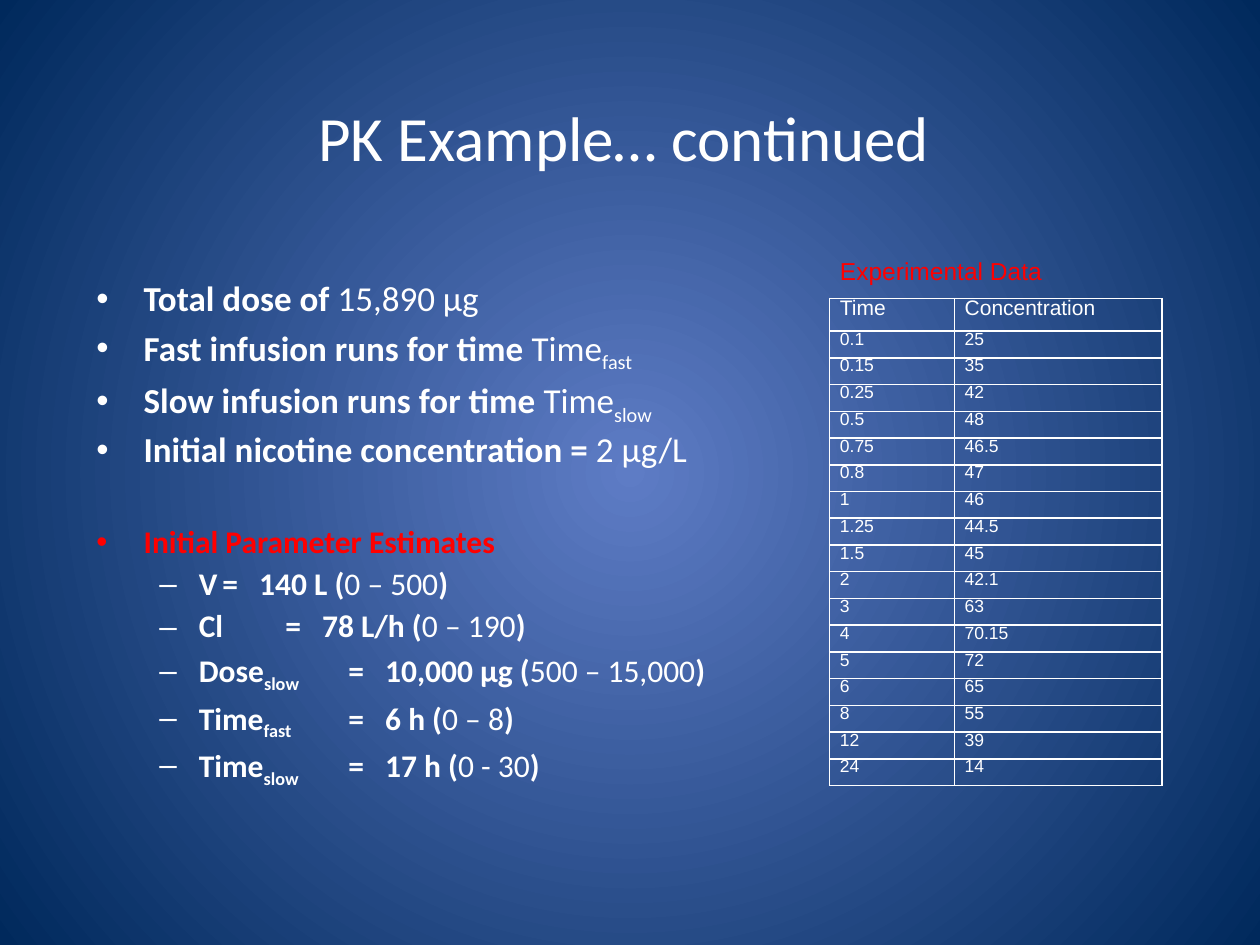
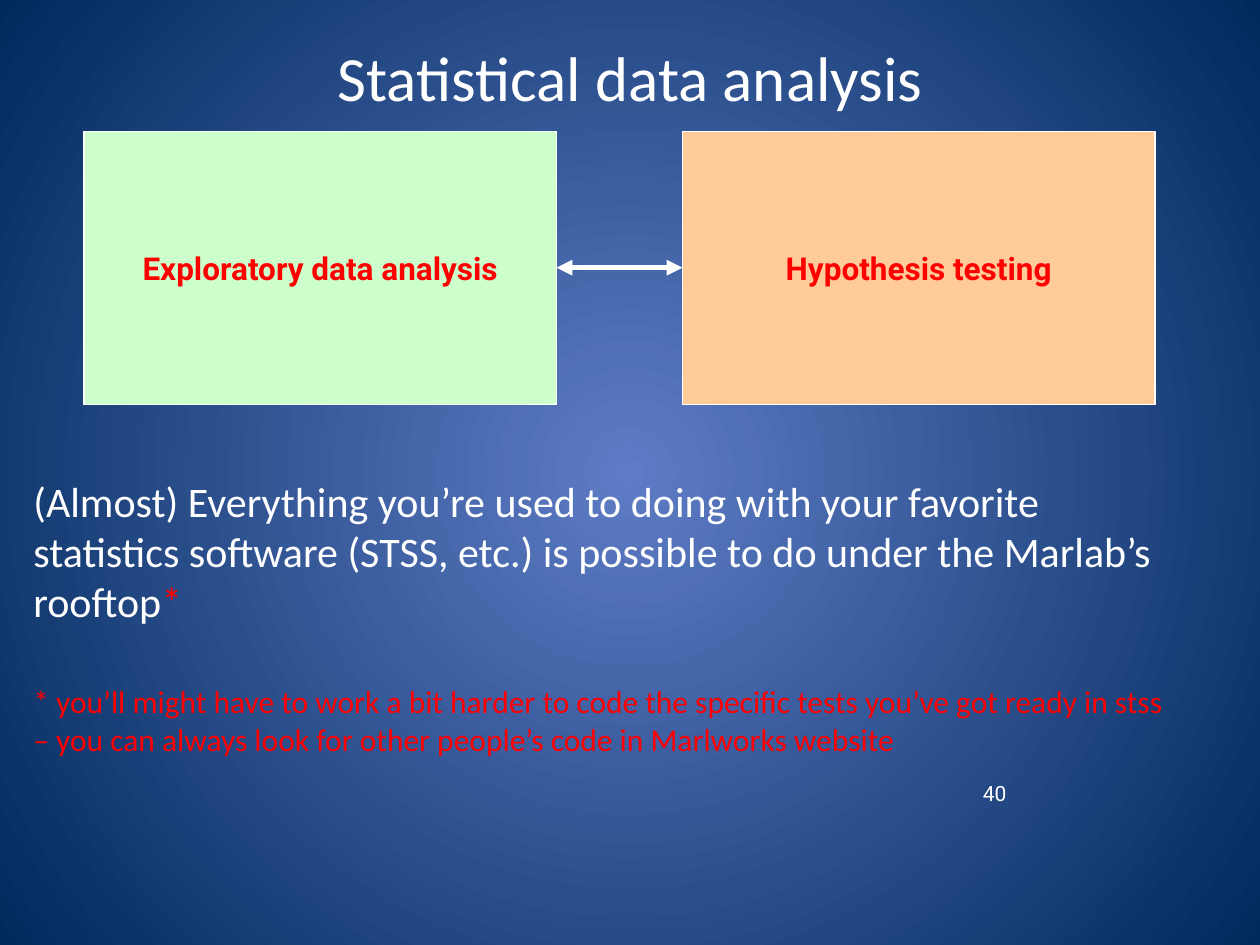
"""Build two slides on a pharmacokinetics example and statistical data analysis."""
from dataclasses import dataclass, field
from typing import Any

from lxml import etree
from pptx import Presentation
from pptx.dml.color import RGBColor
from pptx.enum import shapes, text
from pptx.oxml.ns import qn
from pptx.util import Pt

WHITE, RED, GLOW, NAVY = "FFFFFF", "FF0000", "5E7CC5", "00295C"
GREEN, ORANGE = "CCFFCC", "FFCC99"
BODY_FONT, TABLE_FONT, LABEL_FONT = "Calibri", "Arial", "Roboto"
MIDDLE, CENTER = text.MSO_ANCHOR.MIDDLE, text.PP_ALIGN.CENTER


@dataclass
class Frame:
    """Left, top, width and height in points."""
    left: float
    top: float
    width: float
    height: float

    def lengths(self) -> list[int]:
        """Return the four lengths in slide units."""
        return [Pt(v) for v in (self.left, self.top, self.width, self.height)]


@dataclass
class Run:
    """A stretch of text with its own look."""
    words: str
    bold: bool = False
    color: str = WHITE
    marks: dict[str, str] = field(default_factory=dict)


@dataclass
class Line:
    """A paragraph of runs, with an optional bullet and its indents."""
    runs: list[Run]
    size: float
    font: str = BODY_FONT
    before: float = 0
    spacing: float = 1
    bullet: str = ""
    level: int = 0
    left: float = 0
    hang: float = 0
    align: Any = None


@dataclass
class Panel:
    """A labelled, filled rectangle."""
    label: str
    left: float
    fill: str


def rgb(code: str) -> RGBColor:
    """Turn a hex string into a colour."""
    return RGBColor.from_string(code)


def apply(target: Any, values: dict[str, Any]) -> None:
    """Set each named attribute on the target."""
    for name, value in values.items():
        setattr(target, name, value)


def add_child(parent: Any, tag: str, **attributes: str) -> Any:
    """Append an XML element with the given attributes."""
    return etree.SubElement(parent, qn(tag), attributes)


def write_line(paragraph: Any, line: Line) -> None:
    """Fill one paragraph from its description."""
    apply(paragraph, {"space_before": Pt(line.before), "line_spacing": line.spacing,
                      "level": line.level, "alignment": line.align})
    if line.bullet:
        properties = paragraph._p.get_or_add_pPr()
        properties.set("marL", str(Pt(line.left)))
        properties.set("indent", str(-Pt(line.hang)))
        add_child(properties, "a:buFont", typeface="Arial")
        add_child(properties, "a:buChar", char=line.bullet)
    for part in line.runs:
        run = paragraph.add_run()
        run.text = part.words
        apply(run.font, {"name": line.font, "size": Pt(line.size), "bold": part.bold})
        run.font.color.rgb = rgb(part.color)
        for name, value in part.marks.items():
            run._r.get_or_add_rPr().set(name, value)


def write_lines(frame: Any, lines: list[Line], **settings: Any) -> None:
    """Write paragraphs into a text frame."""
    apply(frame, {"word_wrap": True, **settings})
    for index, line in enumerate(lines):
        write_line(frame.add_paragraph() if index else frame.paragraphs[0], line)


def add_text(slide: Any, place: Frame, lines: list[Line], **settings: Any) -> None:
    """Add a text box."""
    write_lines(slide.shapes.add_textbox(*place.lengths()).text_frame, lines, **settings)


def add_slide(deck: Any, title: str, place: Frame) -> Any:
    """Add a slide with the shared background and title style."""
    slide = deck.slides.add_slide(deck.slide_layouts[6])
    fill = slide.background.fill
    fill.gradient()
    for stop, color in zip(fill.gradient_stops, (GLOW, NAVY)):
        stop.color.rgb = rgb(color)
    linear = slide.element.xpath(".//a:gradFill/a:lin")[0]
    gradient = linear.getparent()
    gradient.remove(linear)
    circle = add_child(gradient, "a:path", path="circle")
    add_child(circle, "a:fillToRect", l="50000", t="50000", r="50000", b="50000")
    add_text(slide, place, [Line([Run(title)], 36, align=CENTER)], vertical_anchor=MIDDLE)
    return slide


def dose_line(lead: str, value: str, sub: str = "") -> Line:
    """Describe a top-level bullet with a bold lead and a plain value."""
    runs = [Run(lead, True), Run(value)]
    if sub:
        runs.append(Run(sub, marks={"baseline": "-25000"}))
    return Line(runs, 20, before=4, spacing=0.95, bullet="•", left=27, hang=27)


def estimate_line(name: str, sub: str, value: str, limits: str) -> Line:
    """Describe a parameter estimate with its limits."""
    runs = [Run(name, True)]
    if sub:
        runs.append(Run(sub, True, marks={"baseline": "-25000"}))
    runs += [Run("\t", True), Run("= ", True, marks={"spc": "400"}),
             Run(f"{value} (", True), Run(limits), Run(")", True)]
    return Line(runs, 18, before=3.6, spacing=0.95, bullet="–", level=1, left=58.5, hang=22.5)


def style_cell(cell: Any, words: str, size: float, color: str, edges: str) -> None:
    """Write a cell and draw the named edges, hiding the others."""
    apply(cell, {"margin_left": Pt(6), "margin_right": Pt(6),
                 "margin_top": 0, "margin_bottom": 0})
    if words:
        write_line(cell.text_frame.paragraphs[0],
                   Line([Run(words, color=color)], size, TABLE_FONT, size / 5, 0.9))
    properties = cell._tc.get_or_add_tcPr()
    for edge in "LRTB":
        border = add_child(properties, f"a:ln{edge}", w=str(Pt(1)))
        if edge in edges:
            add_child(add_child(border, "a:solidFill"), "a:srgbClr", val=WHITE)
        else:
            add_child(border, "a:noFill")
    cell.fill.background()


def add_measurements(slide: Any, place: Frame, heading: str,
                     rows: list[tuple[str, str]]) -> None:
    """Add the table of measurements under a merged heading."""
    table = slide.shapes.add_table(len(rows) + 1, 2, *place.lengths()).table
    apply(table, {"first_row": False, "horz_banding": False})
    for column, width in zip(table.columns, (71.3, 118.8)):
        column.width = Pt(width)
    for index, row in enumerate(table.rows):
        row.height = Pt({0: 21.6, 1: 18.6}.get(index, 15.3))
    for column, words in enumerate((heading, "")):
        style_cell(table.cell(0, column), words, 14, RED, "B")
    table.cell(0, 0).merge(table.cell(0, 1))
    for index, row in enumerate(rows, 1):
        for column, words in enumerate(row):
            style_cell(table.cell(index, column), words, 12 if index == 1 else 10, WHITE, "LRTB")


def add_panel(slide: Any, panel: Panel) -> Any:
    """Add a labelled rectangle."""
    place = Frame(panel.left, 75, 270, 156)
    box = slide.shapes.add_shape(shapes.MSO_SHAPE.RECTANGLE, *place.lengths())
    box.shadow.inherit = False
    box.fill.solid()
    box.fill.fore_color.rgb = rgb(panel.fill)
    box.line.color.rgb = rgb(WHITE)
    box.line.width = Pt(0.75)
    label = Line([Run(panel.label, True, RED)], 18, LABEL_FONT, align=CENTER)
    write_lines(box.text_frame, [label], word_wrap=False, vertical_anchor=MIDDLE)
    return box


def join(slide: Any, first: Any, second: Any) -> None:
    """Join two panels side by side with a two-headed arrow."""
    arrow = slide.shapes.add_connector(shapes.MSO_CONNECTOR.STRAIGHT, 0, 0, 0, 0)
    arrow.begin_connect(first, 3)
    arrow.end_connect(second, 1)
    arrow.line.color.rgb = rgb(WHITE)
    arrow.line.width = Pt(3)
    outline = arrow.line._get_or_add_ln()
    for end in ("a:headEnd", "a:tailEnd"):
        add_child(outline, end, type="triangle")
    add_child(arrow._element.spPr, "a:effectLst")


def build_example(deck: Any) -> None:
    """Build the slide with parameter estimates and measurements."""
    slide = add_slide(deck, "PK Example… continued", Frame(48, 42, 617, 72))
    estimates = Line([Run("Initial Parameter Estimates", True, RED)], 18, before=30.8,
                     spacing=0.95, bullet="•", left=27, hang=27)
    add_text(slide, Frame(48, 156, 408, 126), [
        dose_line("Total dose of ", "15,890 µg"),
        dose_line("Fast infusion runs for time ", "Time", "fast"),
        dose_line("Slow infusion runs for time ", "Time", "slow"),
        dose_line("Initial nicotine concentration = ", "2 µg/L"),
        estimates,
        estimate_line("V", "", "140 L", "0 – 500"),
        estimate_line("Cl", "", "78 L/h", "0 – 190"),
        estimate_line("Dose", "slow", "10,000 µg", "500 – 15,000"),
        estimate_line("Time", "fast", "6 h", "0 – 8"),
        estimate_line("Time", "slow", "17 h", "0 - 30"),
    ])
    times = "0.1 0.15 0.25 0.5 0.75 0.8 1 1.25 1.5 2 3 4 5 6 8 12 24".split()
    levels = "25 35 42 48 46.5 47 46 44.5 45 42.1 63 70.15 72 65 55 39 14".split()
    add_measurements(slide, Frame(474, 149, 190.1, 300.3), "Experimental Data",
                     [("Time", "Concentration"), *zip(times, levels)])


def build_analysis(deck: Any) -> None:
    """Build the slide on exploratory analysis and hypothesis testing."""
    slide = add_slide(deck, "Statistical data analysis", Frame(36, 12, 648, 63))
    add_text(slide, Frame(554.5, 441, 150, 24), [Line([Run("40")], 12, LABEL_FONT)],
             vertical_anchor=MIDDLE)
    claim = ("(Almost) Everything you’re used to doing with your favorite statistics software "
             "(STSS, etc.) is possible to do under the Marlab’s rooftop")
    footnote = ("* you’ll might have to work a bit harder to code the specific tests you’ve got "
                "ready in stss – you can always look for other people’s code in Marlworks website")
    add_text(slide, Frame(12, 268, 660, 242), [
        Line([Run(claim), Run("*", color=RED)], 24),
        Line([Run(footnote, color=RED)], 18, before=32),
    ])
    panels = [Panel("Exploratory data analysis", 48, GREEN),
              Panel("Hypothesis testing", 390, ORANGE)]
    join(slide, *[add_panel(slide, panel) for panel in panels])


def main() -> None:
    """Build and save the presentation."""
    deck = Presentation()
    apply(deck, {"slide_width": Pt(720), "slide_height": Pt(540)})
    build_example(deck)
    build_analysis(deck)
    deck.save("out.pptx")


if __name__ == "__main__":
    main()
